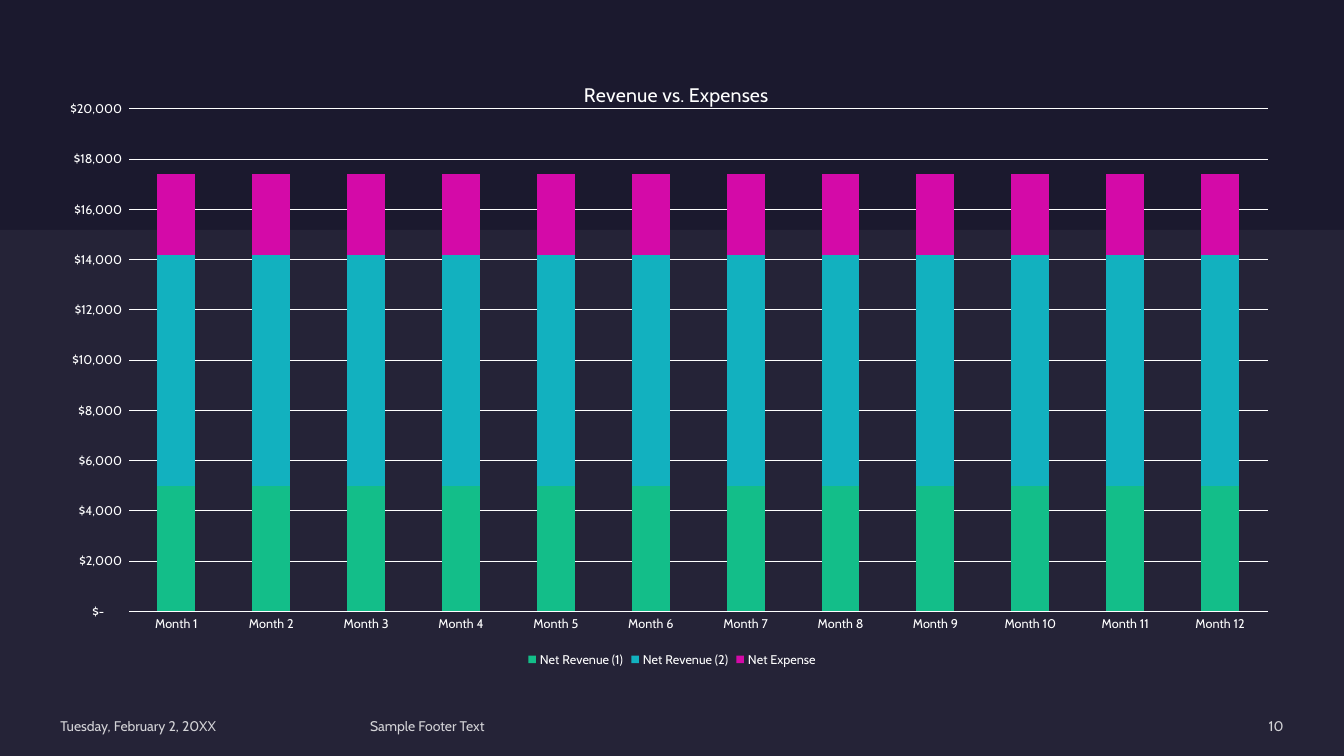
from lxml import etree
from pptx import Presentation
from pptx.chart.data import CategoryChartData
from pptx.dml.color import RGBColor
from pptx.enum.chart import XL_CHART_TYPE, XL_LEGEND_POSITION, XL_TICK_MARK
from pptx.enum.shapes import MSO_SHAPE
from pptx.enum.text import MSO_ANCHOR, PP_ALIGN
from pptx.oxml.ns import qn
from pptx.util import Inches, Pt

STACKED = XL_CHART_TYPE.COLUMN_STACKED
BOTTOM = XL_LEGEND_POSITION.BOTTOM
NO_TICK = XL_TICK_MARK.NONE
RECT = MSO_SHAPE.RECTANGLE
MIDDLE = MSO_ANCHOR.MIDDLE
LEFT, RIGHT = PP_ALIGN.LEFT, PP_ALIGN.RIGHT

FONT = "Cabin"
COLORS = {
    "navy": "1B192E",
    "haze": "E4E3F0",
    "white": "FFFFFF",
    "green": "13BE89",
    "teal": "12B1BF",
    "pink": "D40AA8",
}
MONTHS = [f"Month {n}" for n in range(1, 13)]
SERIES = [
    ("Net Revenue (1)", 5000, "green"),
    ("Net Revenue (2)", 9200, "teal"),
    ("Net Expense", 3200, "pink"),
]
MONEY = r'_("$"* #,##0_);_("$"* \(#,##0\);_("$"* "-"??_);_(@_)'


def paint(fill, color, alpha=100):
    """Give a fill a solid colour with an opacity in percent."""
    fill.solid()
    fill.fore_color.rgb = RGBColor.from_string(COLORS[color])
    if alpha < 100:
        tone = next(fill._xPr.iter(qn("a:srgbClr")))
        etree.SubElement(tone, qn("a:alpha")).set("val", str(alpha * 1000))


def style(font, size, color="white", alpha=100):
    """Set the face, size and colour of a font."""
    font.name = FONT
    font.size = Pt(size)
    font.bold = False
    paint(font.fill, color, alpha)


def add_band(slide, top, height, color, alpha=100):
    """Draw a plain band across the full width of the slide."""
    band = slide.shapes.add_shape(RECT, 0, Inches(top), Inches(13.33), Inches(height))
    band.shadow.inherit = False
    band.line.fill.background()
    paint(band.fill, color, alpha)


def add_text(slide, text, left, top, width, height, size=10, alpha=80, align=LEFT):
    """Add one line of text in a box without margins."""
    box = slide.shapes.add_textbox(Inches(left), Inches(top), Inches(width), Inches(height))
    frame = box.text_frame
    frame.word_wrap = True
    frame.vertical_anchor = MIDDLE
    frame.margin_left = frame.margin_right = frame.margin_top = frame.margin_bottom = 0
    para = frame.paragraphs[0]
    para.alignment = align
    para.space_after = Pt(6)
    run = para.add_run()
    run.text = text
    style(run.font, size, alpha=alpha)


def place(part, index, inner=False, **spots):
    """Fix a chart part at the given fractions of the chart area."""
    layout = part.find(qn("c:layout"))
    if layout is None:
        layout = etree.Element(qn("c:layout"))
        part.insert(index, layout)
    manual = etree.SubElement(layout, qn("c:manualLayout"))
    if inner:
        etree.SubElement(manual, qn("c:layoutTarget")).set("val", "inner")
    for key in ("xMode", "yMode"):
        etree.SubElement(manual, qn(f"c:{key}")).set("val", "edge")
    for key, value in spots.items():
        etree.SubElement(manual, qn(f"c:{key}")).set("val", str(value))


def draw_line(line):
    """Make a chart line thin and white."""
    line.width = Pt(0.75)
    paint(line.fill, "white")


def set_axes(chart):
    """Format both axes and the grid lines."""
    for axis in (chart.category_axis, chart.value_axis):
        axis.major_tick_mark = axis.minor_tick_mark = NO_TICK
        style(axis.tick_labels.font, 9)
    draw_line(chart.category_axis.format.line)
    money = chart.value_axis
    money.minimum_scale, money.maximum_scale, money.major_unit = 0, 20000, 2000
    money.format.line.fill.background()
    money.has_major_gridlines = True
    draw_line(money.major_gridlines.format.line)
    money.tick_labels.number_format = MONEY
    money.tick_labels.number_format_is_linked = False


def set_title(chart, text):
    """Add the chart title above the plot."""
    chart.has_title = True
    title = chart.chart_title
    run = title.text_frame.paragraphs[0].add_run()
    run.text = text
    style(run.font, 14)
    place(title._element, 1, x=0.425, y=0.036)


def add_chart(slide):
    """Add the stacked columns of revenue and expenses."""
    data = CategoryChartData(number_format=MONEY)
    data.categories = MONTHS
    for name, value, _ in SERIES:
        data.add_series(name, [value] * len(MONTHS))
    frame = slide.shapes.add_chart(
        STACKED, Inches(0.6), Inches(0.55), Inches(12.13), Inches(6.11), data
    )
    chart = frame.chart
    style(chart.font, 10)
    set_title(chart, "Revenue vs. Expenses")
    set_axes(chart)
    chart.has_legend = True
    chart.legend.position = BOTTOM
    chart.legend.include_in_layout = False
    style(chart.legend.font, 9)
    plot = chart.plots[0]
    plot.vary_by_categories = False
    plot.gap_width, plot.overlap = 150, 100
    for series, (_, _, color) in zip(plot.series, SERIES):
        paint(series.format.fill, color)
    area = chart._chartSpace.find(f".//{qn('c:plotArea')}")
    place(area, 0, inner=True, x=0.056, y=0.087, w=0.931, h=0.816)


def main():
    """Build the slide and save it."""
    deck = Presentation()
    deck.slide_width, deck.slide_height = Inches(13.33), Inches(7.5)
    slide = deck.slides.add_slide(deck.slide_layouts[6])
    paint(slide.background.fill, "navy")
    add_band(slide, 0, 7.5, "navy")
    add_band(slide, 2.28, 5.22, "haze", alpha=5)
    add_text(slide, "Tuesday, February 2, 20XX", 0.6, 7.12, 2.88, 0.17)
    add_text(slide, "Sample Footer Text", 3.67, 7.12, 6.98, 0.17)
    add_text(slide, "10", 10.88, 7.12, 1.85, 0.17, align=RIGHT)
    add_chart(slide)
    deck.save("out.pptx")


if __name__ == "__main__":
    main()
